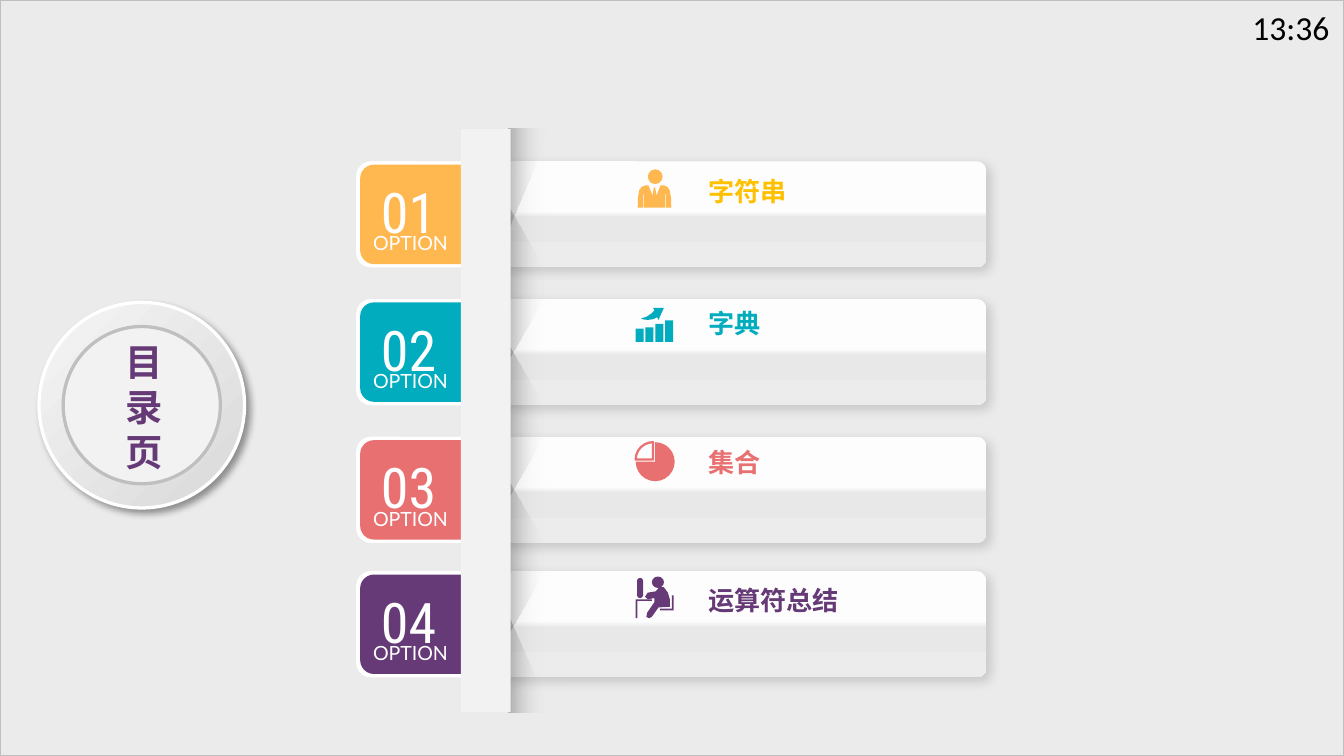
from lxml.etree import SubElement
from pptx import Presentation
from pptx.dml.color import RGBColor
from pptx.enum.shapes import MSO_SHAPE
from pptx.enum.text import PP_ALIGN
from pptx.oxml.ns import qn
from pptx.util import Inches, Pt

WHITE = RGBColor(0xFF, 0xFF, 0xFF)
BLACK = RGBColor(0x00, 0x00, 0x00)
PAPER = RGBColor(0xF2, 0xF2, 0xF2)
GREY = RGBColor(0xA6, 0xA6, 0xA6)
RING = RGBColor(0xBF, 0xBF, 0xBF)
RIM_LIGHT = RGBColor(0xF5, 0xF5, 0xF5)
RIM_DARK = RGBColor(0xD9, 0xD9, 0xD9)
CARD_TOP = RGBColor(0xFD, 0xFD, 0xFD)
CARD_FOLD = RGBColor(0xE8, 0xE8, 0xE8)
CARD_BOTTOM = RGBColor(0xEC, 0xEC, 0xEC)
GOLD = RGBColor(0xFF, 0xC0, 0x00)
ORANGE = RGBColor(0xFF, 0xB8, 0x50)
TEAL = RGBColor(0x01, 0xAC, 0xBE)
CORAL = RGBColor(0xE8, 0x70, 0x71)
PURPLE = RGBColor(0x66, 0x3A, 0x77)
CJK = "Noto Sans CJK SC"

prs = Presentation()
prs.slide_width = Inches(10)
prs.slide_height = prs.slide_width * 9 // 16
slide = prs.slides.add_slide(prs.slide_layouts[6])
CELL = prs.slide_width / 100  # the grid is 100 columns of square cells
ROWS = prs.slide_height / CELL


def add_part(outline, x, y, w, h, fill, line=None, shadow=None):
    """Outline: preset or points from (x, y). Fill: colour or (angle, stops)."""
    if isinstance(outline, list):
        points = [((x + px) * CELL, (y + py) * CELL) for px, py in outline]
        builder = slide.shapes.build_freeform(*points[0])
        builder.add_line_segments(points[1:], close=True)
        s = builder.convert_to_shape()
    else:
        s = slide.shapes.add_shape(outline, *(int(v * CELL) for v in (x, y, w, h)))
    s.shadow.inherit = False
    if line:
        s.line.color.rgb, s.line.width = line[0], Pt(line[1])
    else:
        s.line.fill.background()
    if isinstance(fill, tuple) and not isinstance(fill, RGBColor):
        angle, stops = fill
        s.fill.gradient()
        grad = s._element.spPr.find(qn("a:gradFill"))
        for child in list(grad):
            grad.remove(child)
        stop_list = SubElement(grad, qn("a:gsLst"))
        for position, color, alpha in stops:
            stop = SubElement(stop_list, qn("a:gs"), pos=str(position * 1000))
            clr = SubElement(stop, qn("a:srgbClr"), val=str(color))
            SubElement(clr, qn("a:alpha"), val=str(alpha * 1000))
        SubElement(grad, qn("a:lin"), ang=str(angle * 60000), scaled="0")
    elif fill is None:
        s.fill.background()
    else:
        s.fill.solid()
        s.fill.fore_color.rgb = fill
    if shadow:
        alpha, blur, dist = shadow
        effects = s._element.spPr.find(qn("a:effectLst"))
        outer = SubElement(effects, qn("a:outerShdw"), blurRad=str(Pt(blur)),
                           dist=str(Pt(dist)), dir="2700000", algn="tl", rotWithShape="0")
        clr = SubElement(outer, qn("a:srgbClr"), val=str(BLACK))
        SubElement(clr, qn("a:alpha"), val=str(alpha * 1000))
    return s


def add_text(text, x, y, w, h, size, font, color, bold=False, align=None, wrap=True):
    box = slide.shapes.add_textbox(*(int(v * CELL) for v in (x, y, w, h)))
    tf = box.text_frame
    tf.word_wrap = wrap
    tf.text = text
    p = tf.paragraphs[0]
    p.alignment = align
    r = p.runs[0]
    r.font.size, r.font.name, r.font.bold = Pt(size), font, bold
    r.font.color.rgb = color
    SubElement(r._r.get_or_add_rPr(), qn("a:ea"), typeface=font)


# Backdrop and clock
backdrop = add_part(MSO_SHAPE.RECTANGLE, 0, 0, 100, ROWS, GREY, (RING, 1))
backdrop_color = backdrop._element.spPr.find(qn("a:solidFill"))[0]
SubElement(backdrop_color, qn("a:alpha"), val="22000")
add_text("13:36", 92.2, 0, 7.8, 4, 18, "Calibri", BLACK, wrap=False)

# Title disc
add_part(MSO_SHAPE.OVAL, 2.9, 22.5, 15.3, 15.3,
         (45, [(0, RIM_LIGHT, 100), (100, RIM_DARK, 100)]), (WHITE, 1.75), (40, 4, 3))
add_part(MSO_SHAPE.OVAL, 4.7, 24.3, 11.7, 11.7, PAPER, (RING, 1.75))
add_text("目录页", 7.5, 24.75, 6.5, 11.1, 20, CJK, PURPLE, True, PP_ALIGN.CENTER)

# Numbered tabs and cards: row top, tab colour, label, label colour, label offset
options = [
    (12, ORANGE, "字符串", GOLD, 0.55),
    (22.25, TEAL, "字典", TEAL, 0.15),
    (32.5, CORAL, "集合", CORAL, 0.25),
    (42.5, PURPLE, "运算符总结", PURPLE, 0.5),
]
CARD_H = 7.9
card_fill = (90, [(47, CARD_TOP, 100), (53, CARD_FOLD, 100), (100, CARD_BOTTOM, 100)])
for number, (top, color, label, label_color, offset) in enumerate(options, 1):
    for x, y, w, h, fill in ((26.5, top, 8.8, CARD_H, WHITE),
                             (26.8, top + 0.25, 8.7, 7.4, color)):
        tab = add_part(MSO_SHAPE.ROUNDED_RECTANGLE, x, y, w, h, fill)
        tab.adjustments[0] = 0.14
    add_text(f"{number:02}", 26.15, top + 0.7, 8.5, 6.1, 30, "Roboto Condensed",
             WHITE, align=PP_ALIGN.CENTER)
    add_text("OPTION", 26.3, top + 4.7, 8.5, 2.8, 10.5, "Lato",
             WHITE, align=PP_ALIGN.CENTER)
    card = add_part(MSO_SHAPE.ROUNDED_RECTANGLE, 37.4, top, 36, CARD_H, card_fill,
                    shadow=(14, 6, 3))
    card.adjustments[0] = 0.09
    add_text(label, 51.7, top + offset, 13.9, 3.4, 14, CJK, label_color, True, wrap=False)

# Soft shadow beside the vertical strip
STRIP_TOP, STRIP_H, EDGE, SHADE_W = 9.6, 43.4, 37.8, 2.8
add_part(MSO_SHAPE.RECTANGLE, EDGE, STRIP_TOP, SHADE_W, STRIP_H,
         (0, [(0, BLACK, 8), (100, PAPER, 0)]))

# Shadow wedges at both ends and between the cards
end_shade = (0, [(0, BLACK, 21), (100, PAPER, 0)])
for y, depth in ((STRIP_TOP, 7.5), (STRIP_TOP + STRIP_H, -7.3)):
    corner = 0.9 if depth > 0 else -0.9
    add_part([(0, 0), (SHADE_W, 0), (SHADE_W, corner), (0, depth)],
             EDGE, y, SHADE_W, depth, end_shade)
WEDGE_W = 11.5
for upper, lower in zip(options, options[1:]):
    middle = (upper[0] + lower[0] + CARD_H) / 2
    wedge = add_part(MSO_SHAPE.TRAPEZOID, EDGE + (SHADE_W - WEDGE_W) / 2,
                     middle - SHADE_W / 2, WEDGE_W, SHADE_W,
                     (90, [(0, PAPER, 0), (100, BLACK, 21)]))
    wedge.adjustments[0] = 1.74
    wedge.rotation = 90

# Vertical strip over the inner edge of the shadows
add_part(MSO_SHAPE.RECTANGLE, 34.3, STRIP_TOP, 3.7, STRIP_H, PAPER)

# Icon 1: person in a suit
add_part(MSO_SHAPE.OVAL, 48.2, 12.6, 1.1, 1.1, ORANGE)
half_suit = [(0, 1.65), (0.02, 0.9), (0.12, 0.35), (0.3, 0.1), (0.55, 0), (0.8, 0),
             (1.02, 0.55), (1.15, 0.85), (1.12, 0.65), (1.2, 0.15)]
slit = [(0.47, 1.65), (0.47, 0.65), (0.42, 0.65), (0.42, 1.65)]
suit = half_suit + [(2.5 - x, y) for x, y in reversed(half_suit)]
suit += [(2.5 - x, y) for x, y in reversed(slit)] + slit
add_part(suit, 47.45, 13.8, 2.5, 1.65, ORANGE)

# Icon 2: growing bars and an arrow
BARS_BOTTOM = 25.45
for i, height in enumerate((1, 1.1, 1.35, 1.6)):
    add_part(MSO_SHAPE.RECTANGLE, 47.3 + 0.73 * i, BARS_BOTTOM - height, 0.6, height, TEAL)
add_part([(1, 0.2), (0.9, 0), (1.7, 0), (1.3, 0.9), (1.2, 0.7), (0.9, 0.85),
          (0.5, 0.9), (0.2, 0.87), (0, 0.8), (0.45, 0.65), (0.8, 0.4)],
         47.7, 22.9, 1.7, 0.9, TEAL)

# Icon 3: pie with one quarter pulled out (angles in units of 100000)
pie = add_part(MSO_SHAPE.PIE, 47.3, 32.9, 2.9, 2.9, CORAL)
quarter = add_part(MSO_SHAPE.PIE, 47.3, 32.9, 2.6, 2.6, None, (CORAL, 1.2))
for s, start, end in ((pie, 162, 108), (quarter, 108, 162)):
    s.adjustments[0], s.adjustments[1] = start, end

# Icon 4: person at a desk
add_part([(0, 0), (1.2, 0), (1.2, 0.12), (0.12, 0.12), (0.12, 1.4), (0, 1.4)],
         47.3, 44.6, 1.2, 1.4, PURPLE)
screen = add_part(MSO_SHAPE.ROUNDED_RECTANGLE, 47.4, 43, 0.45, 1.5, PURPLE)
screen.adjustments[0] = 0.5
add_part(MSO_SHAPE.OVAL, 48.5, 42.9, 0.9, 0.85, PURPLE)
add_part([(0.15, 2.7), (0.7, 1.9), (0.7, 1.6), (0.2, 1.7), (0, 1.5), (0.2, 1.2),
          (0.8, 1.1), (1.1, 0.75), (1.4, 0.8), (1.7, 1.2), (1.85, 1.7), (1.85, 2.25),
          (1, 2.3), (0.5, 3), (0.3, 3.1), (0.1, 3)],
         48, 42.9, 1.9, 3.1, PURPLE)
add_part([(0, 1), (0.9, 1), (0.9, 0), (1.02, 0), (1.02, 1.12), (0, 1.12)],
         49.1, 44.3, 1, 1.1, PURPLE)

prs.save("out.pptx")
